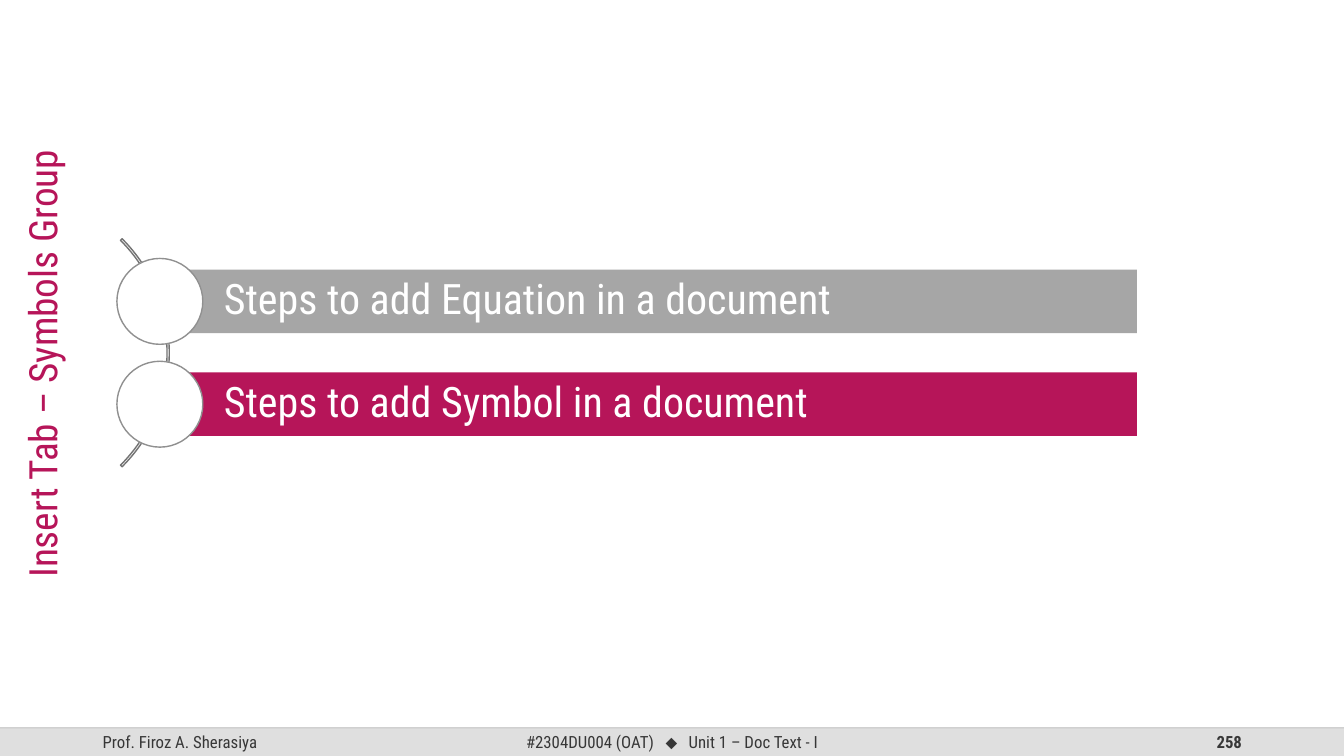
import dataclasses
import typing

import lxml.etree
import pptx
import pptx.dml.color
import pptx.enum.shapes
import pptx.enum.text
import pptx.oxml.ns
import pptx.util

SHAPE = pptx.enum.shapes.MSO_SHAPE
ALIGN = pptx.enum.text.PP_ALIGN
ANCHOR = pptx.enum.text.MSO_ANCHOR
WIDTH, HEIGHT = 13.33, 7.5
CONDENSED = "Roboto Condensed"
CRIMSON, DARK, WHITE = "B61559", "373737", "FFFFFF"


@dataclasses.dataclass(frozen=True)
class Area:
    """Left, top, width and height as percentages of the slide."""

    left: float
    top: float
    width: float
    height: float

    def lengths(self) -> list[int]:
        return [
            pptx.util.Inches(share * side / 100)
            for share, side in (
                (self.left, WIDTH),
                (self.top, HEIGHT),
                (self.width, WIDTH),
                (self.height, HEIGHT),
            )
        ]


@dataclasses.dataclass(frozen=True)
class Span:
    text: str
    font: str = CONDENSED
    tracking: float = 0


@dataclasses.dataclass(frozen=True)
class FooterItem:
    left: float
    width: float
    align: typing.Any
    spans: tuple[Span, ...]
    bold: bool = False


@dataclasses.dataclass(frozen=True)
class Step:
    text: str
    fill: str


GAP = Span(" ", tracking=5.4)
FOOTER_TOP = 96.27
FOOTER_HEIGHT = 100 - FOOTER_TOP
FOOTER_ITEMS = (
    FooterItem(6.9, 22.5, ALIGN.LEFT, (Span("Prof. Firoz A. Sherasiya"),)),
    FooterItem(
        33.13,
        33.75,
        ALIGN.CENTER,
        (
            Span("#2304DU004 (OAT)"),
            GAP,
            Span("⬥", "Arial"),
            GAP,
            Span("Unit 1 – Doc Text - I"),
        ),
    ),
    FooterItem(70.65, 22.5, ALIGN.RIGHT, (Span("258"),), True),
)
STEPS = (
    Step("Steps to add Equation in a document", "A6A6A6"),
    Step("Steps to add Symbol in a document", CRIMSON),
)
STEP_MIDDLE, STEP_PITCH = 46.67, 13.6
BAR_HEIGHT, CIRCLE_HEIGHT = 8.4, 11.36
CIRCLE_WIDTH = CIRCLE_HEIGHT * HEIGHT / WIDTH


def colour(value: str) -> pptx.dml.color.RGBColor:
    return pptx.dml.color.RGBColor.from_string(value)


def set_values(target: typing.Any, values: dict[str, typing.Any]) -> None:
    for name, value in values.items():
        setattr(target, name, value)


def add_figure(
    page: typing.Any,
    kind: typing.Any,
    area: Area,
    fill: str | None = None,
    line: str | None = None,
) -> typing.Any:
    figure = page.shapes.add_shape(kind, *area.lengths())
    figure.shadow.inherit = False
    if fill:
        figure.fill.solid()
        figure.fill.fore_color.rgb = colour(fill)
    else:
        figure.fill.background()
    if line:
        figure.line.color.rgb = colour(line)
        figure.line.width = pptx.util.Pt(1)
    else:
        figure.line.fill.background()
    return figure


def write(
    box: typing.Any,
    spans: tuple[Span, ...],
    size: float,
    ink: str,
    align: typing.Any,
    bold: bool = False,
) -> typing.Any:
    set_values(box.text_frame, {"word_wrap": True, "vertical_anchor": ANCHOR.MIDDLE})
    para = box.text_frame.paragraphs[0]
    para.alignment = align
    for span in spans:
        run = para.add_run()
        run.text = span.text
        set_values(
            run.font,
            {"name": span.font, "size": pptx.util.Pt(size), "bold": bold},
        )
        run.font.color.rgb = colour(ink)
        if span.tracking:
            run.font._element.set("spc", str(round(span.tracking * 100)))
    return para


def add_footer(page: typing.Any) -> None:
    band_area = Area(0, FOOTER_TOP, 100, FOOTER_HEIGHT)
    band = add_figure(page, SHAPE.ROUNDED_RECTANGLE, band_area, "DFDFDF")
    band.adjustments[0] = 0
    for item in FOOTER_ITEMS:
        area = Area(item.left, FOOTER_TOP, item.width, FOOTER_HEIGHT)
        box = page.shapes.add_textbox(*area.lengths())
        write(box, item.spans, 12, DARK, item.align, item.bold)
    left, top, width, _ = band_area.lengths()
    rule = page.shapes.add_connector(
        pptx.enum.shapes.MSO_CONNECTOR.STRAIGHT, left, top, width, top
    )
    rule.line.color.rgb = colour("BFBFBF")
    rule.line.width = pptx.util.Pt(1)
    qualify = pptx.oxml.ns.qn
    shade = next(rule._element.spPr.iter(qualify("a:srgbClr")))
    lxml.etree.SubElement(shade, qualify("a:alpha")).set("val", "70000")
    lxml.etree.SubElement(rule._element.spPr, qualify("a:effectLst"))


def add_step(page: typing.Any, step: Step, middle: float) -> None:
    bar_area = Area(12.6, middle - BAR_HEIGHT / 2, 72, BAR_HEIGHT)
    bar = add_figure(page, SHAPE.RECTANGLE, bar_area, step.fill)
    para = write(bar, (Span(step.text),), 30, WHITE, ALIGN.LEFT)
    para.line_spacing = 0.9
    margins = {"left": 0.54, "top": 0.08, "right": 0.08, "bottom": 0.08}
    set_values(
        bar.text_frame,
        {f"margin_{side}": pptx.util.Inches(gap) for side, gap in margins.items()},
    )
    circle_area = Area(8.7, middle - CIRCLE_HEIGHT / 2, CIRCLE_WIDTH, CIRCLE_HEIGHT)
    add_figure(page, SHAPE.OVAL, circle_area, WHITE, "909090")


def add_steps(page: typing.Any) -> None:
    arc_area = Area(-11.4, 25.33, 24, 42.67)
    arc = add_figure(page, SHAPE.BLOCK_ARC, arc_area, line="737373")
    for index, value in enumerate((189, 27, 0.007)):
        arc.adjustments[index] = value
    for index, step in enumerate(STEPS):
        offset = index - (len(STEPS) - 1) / 2
        add_step(page, step, STEP_MIDDLE + offset * STEP_PITCH)


def add_title(page: typing.Any) -> None:
    box = page.shapes.add_textbox(*Area(0.98, 15.6, 5.03, 65.07).lengths())
    write(box, (Span("Insert Tab – Symbols Group"),), 28, CRIMSON, ALIGN.CENTER)
    set_values(
        box.text_frame,
        {
            "vertical_anchor": ANCHOR.TOP,
            "auto_size": pptx.enum.text.MSO_AUTO_SIZE.SHAPE_TO_FIT_TEXT,
        },
    )
    box.text_frame._txBody.bodyPr.set("vert", "vert270")


def main() -> None:
    deck = pptx.Presentation()
    deck.slide_width = pptx.util.Inches(WIDTH)
    deck.slide_height = pptx.util.Inches(HEIGHT)
    page = deck.slides.add_slide(deck.slide_layouts[6])
    add_footer(page)
    add_steps(page)
    add_title(page)
    deck.save("out.pptx")


if __name__ == "__main__":
    main()
